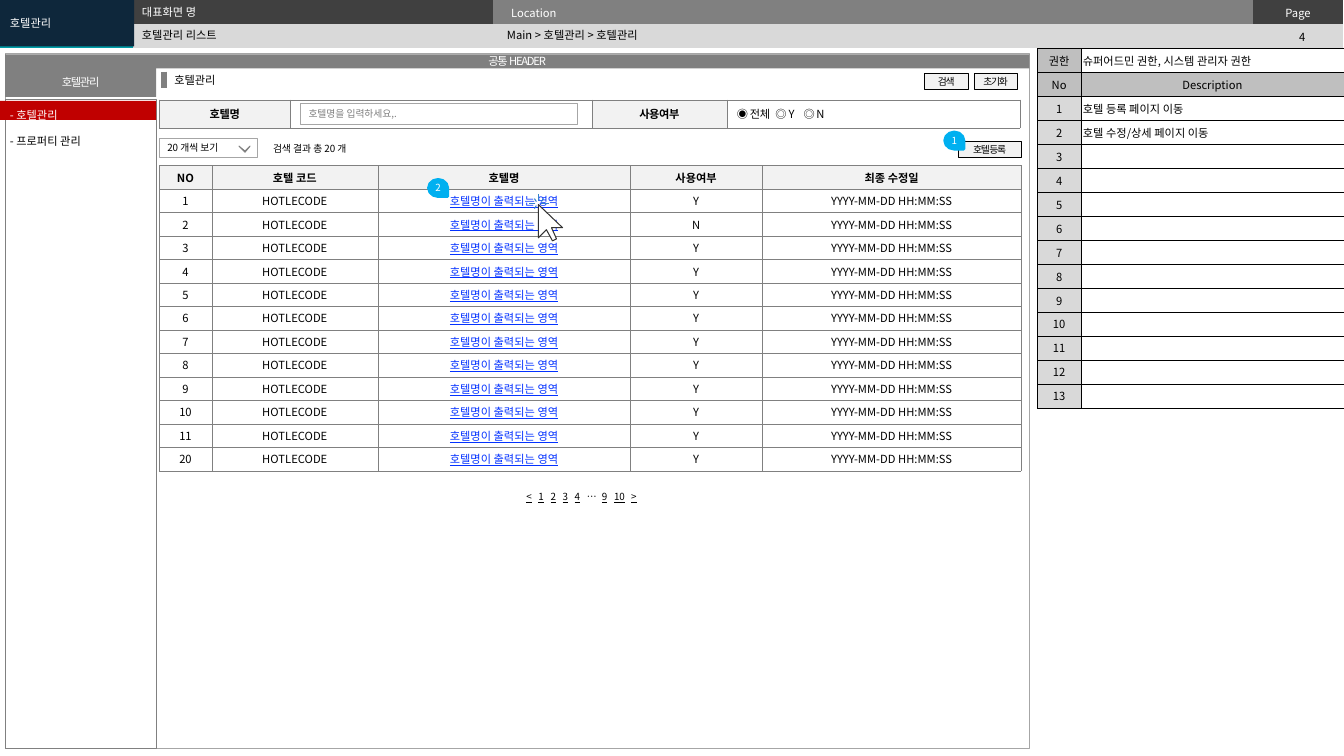
from lxml import etree
from pptx import Presentation
from pptx.dml.color import RGBColor
from pptx.enum.shapes import MSO_CONNECTOR, MSO_SHAPE
from pptx.enum.text import MSO_ANCHOR, PP_ALIGN
from pptx.oxml.ns import qn
from pptx.util import Inches, Pt

FONT = "Noto Sans CJK KR"
WHITE = RGBColor(0xFF, 0xFF, 0xFF)
BLACK = RGBColor(0x00, 0x00, 0x00)
CHARCOAL = RGBColor(0x40, 0x40, 0x40)
GRAY = RGBColor(0x80, 0x80, 0x80)
LINE_GRAY = RGBColor(0xA6, 0xA6, 0xA6)
HEAD_GRAY = RGBColor(0xBF, 0xBF, 0xBF)
LIGHT_GRAY = RGBColor(0xD9, 0xD9, 0xD9)
PALE_GRAY = RGBColor(0xF2, 0xF2, 0xF2)
ARROW_GRAY = RGBColor(0x5F, 0x5F, 0x5F)
POINTER_GRAY = RGBColor(0x33, 0x33, 0x33)
NAVY = RGBColor(0x0E, 0x27, 0x3B)
TEAL = RGBColor(0x00, 0x9C, 0xA6)
RED = RGBColor(0xC0, 0x00, 0x00)
SKY = RGBColor(0x00, 0xB0, 0xF0)
SPARK_BLUE = RGBColor(0x34, 0x83, 0xCB)
LINK_BLUE = RGBColor(0x04, 0x32, 0xFF)
LEFT, CENTER = PP_ALIGN.LEFT, PP_ALIGN.CENTER


def style_span(span, size=8, color=BLACK, bold=False, underline=False, spacing=0):
    font = span.font
    font.size, font.bold, font.underline = Pt(size), bold, underline
    font.color.rgb = color
    font.name = FONT
    properties = span._r.get_or_add_rPr()
    etree.SubElement(properties, qn("a:ea"), typeface=FONT)
    if spacing:
        properties.set("spc", str(int(spacing * 100)))


def add_tab_stops(para, stops):
    tabs = etree.SubElement(para._p.get_or_add_pPr(), qn("a:tabLst"))
    for stop in stops:
        etree.SubElement(tabs, qn("a:tab"), pos=str(Inches(stop)), algn="l")


def fill_frame(frame, text, align=LEFT, inset=0.1, **style):
    frame.word_wrap = True
    frame.vertical_anchor = MSO_ANCHOR.MIDDLE
    frame.margin_left = frame.margin_right = Inches(inset)
    frame.margin_top = frame.margin_bottom = 0
    frame.text = text
    for para in frame.paragraphs:
        para.alignment = align
        for span in para.runs:
            style_span(span, **style)


def add_label(page, left, top, width, height, text, **style):
    box = page.shapes.add_textbox(*map(Inches, (left, top, width, height)))
    fill_frame(box.text_frame, text, **style)
    return box


def paint(shape, fill, line, weight):
    shape.shadow.inherit = False
    if fill is None:
        shape.fill.background()
    else:
        shape.fill.solid()
        shape.fill.fore_color.rgb = fill
    if line is None:
        shape.line.fill.background()
    else:
        shape.line.color.rgb = line
        shape.line.width = Pt(weight)


def add_box(page, left, top, width, height, fill=None, line=None, weight=0.25,
            text="", kind=MSO_SHAPE.RECTANGLE, **style):
    box = page.shapes.add_shape(kind, *map(Inches, (left, top, width, height)))
    paint(box, fill, line, weight)
    if text:
        fill_frame(box.text_frame, text, **style)
    return box


def add_button(page, left, top, width, text):
    add_box(page, left, top, width, 0.16, PALE_GRAY, BLACK, text=text,
            align=CENTER, inset=0, size=7, spacing=-0.9)


def add_marker(page, left, top, number):
    """Numbered drop whose tip points to the lower right."""
    drop = add_box(page, left, top, 0.17, 0.19, SKY, SKY, 2, number, MSO_SHAPE.TEAR,
                   align=CENTER, inset=0, size=7, color=WHITE)
    drop.rotation = 90
    drop.text_frame._txBody.bodyPr.set("vert", "vert270")


def add_outline(page, paths, fill, line, closed=True):
    """Draw one freeform from lists of points in inches."""
    builder = page.shapes.build_freeform(*map(Inches, paths[0][0]))
    for number, path in enumerate(paths):
        points = [(Inches(x), Inches(y)) for x, y in path]
        if number:
            builder.move_to(*points[0])
        builder.add_line_segments(points[1:], close=closed)
    paint(builder.convert_to_shape(), fill, line, 0.75)


def set_borders(cell, color, weight):
    properties = cell._tc.get_or_add_tcPr()
    for position, side in enumerate(("a:lnL", "a:lnR", "a:lnT", "a:lnB")):
        edge = etree.Element(qn(side), w=str(Pt(weight)))
        if color is None:
            etree.SubElement(edge, qn("a:noFill"))
        else:
            solid = etree.SubElement(edge, qn("a:solidFill"))
            etree.SubElement(solid, qn("a:srgbClr"), val=str(color))
        properties.insert(position, edge)


def add_grid(page, left, top, widths, height, rows, border=None, weight=0.25):
    """Build a table from rows of (text, fill, style) cells."""
    frame = page.shapes.add_table(len(rows), len(widths), Inches(left), Inches(top),
                                  Inches(sum(widths)), Inches(height))
    table = frame.table
    table.first_row = table.horz_banding = False
    for column, width in zip(table.columns, widths):
        column.width = Inches(width)
    for row_number, row in enumerate(rows):
        table.rows[row_number].height = Inches(height / len(rows))
        for column_number, (text, fill, style) in enumerate(row):
            cell = table.cell(row_number, column_number)
            fill_frame(cell.text_frame, text, **style)
            cell.vertical_anchor = MSO_ANCHOR.MIDDLE
            cell.margin_top = cell.margin_bottom = Inches(0.03)
            cell.margin_left = cell.margin_right = Inches(style.get("inset", 0.1))
            if not text:
                etree.SubElement(cell.text_frame.paragraphs[0]._p, qn("a:endParaRPr"), sz="800")
            if fill is None:
                cell.fill.background()
            else:
                cell.fill.solid()
                cell.fill.fore_color.rgb = fill
            set_borders(cell, border, weight)
    return table


def add_title_bar(page):
    white = {"color": WHITE, "inset": 0.18}
    table = add_grid(page, 0, 0, [1.32, 3.57, 7.54, 0.89], 0.48, [
        [("", TEAL, {}), ("", CHARCOAL, {}), ("Location", GRAY, white),
         ("Page", CHARCOAL, white | {"align": CENTER})],
        [("", TEAL, {})] + [("", LIGHT_GRAY, {})] * 3])
    table.cell(0, 0).merge(table.cell(1, 0))
    add_label(page, 12.48, 0.25, 0.87, 0.24, "4", align=CENTER)
    add_label(page, 1.31, 0.24, 3.63, 0.22, "호텔관리 리스트")
    add_label(page, 4.93, 0.23, 7.38, 0.24, "Main > 호텔관리 > 호텔관리")
    add_label(page, 1.31, 0.01, 3.62, 0.22, "대표화면 명", color=WHITE)
    add_box(page, 0, 0, 1.33, 0.46, NAVY, text="호텔관리", color=WHITE)


def add_screen_frame(page):
    heading = {"align": CENTER, "inset": 0.04, "color": WHITE, "spacing": -0.9}
    add_box(page, 0.05, 0.53, 10.16, 6.89, line=LINE_GRAY)
    add_box(page, 0.05, 0.98, 1.5, 6.44, line=GRAY)
    add_box(page, 0.05, 0.54, 10.16, 0.14, GRAY, text="공통 HEADER", **heading)
    add_box(page, 0.05, 0.67, 1.5, 0.29, GRAY, text="호텔관리", **heading)


def add_side_menu(page):
    add_box(page, 0, 1, 1.55, 0.19, RED)
    menu = add_label(page, 0, 0.94, 1.44, 0.54, "- 호텔관리\n- 프로퍼티 관리").text_frame
    menu.vertical_anchor = MSO_ANCHOR.TOP
    for para in menu.paragraphs:
        para.line_spacing = Pt(19)
    menu.paragraphs[0].runs[0].font.color.rgb = WHITE


def add_descriptions(page):
    middle, plain = {"align": CENTER, "inset": 0.02}, {"inset": 0.02}
    notes = ["호텔 등록 페이지 이동", "호텔 수정/상세 페이지 이동"] + [""] * 11
    rows = [[("권한", HEAD_GRAY, middle), ("슈퍼어드민 권한, 시스템 관리자 권한", None, plain)],
            [("No", HEAD_GRAY, middle), ("Description", HEAD_GRAY, middle)]]
    rows += [[(str(number), LIGHT_GRAY, middle), (note, None, plain)]
             for number, note in enumerate(notes, 1)]
    add_grid(page, 10.29, 0.48, [0.43, 2.61], 3.57, rows, BLACK, 0.5)


def add_search_form(page):
    add_label(page, 1.63, 0.67, 2.41, 0.24, "호텔관리")
    bar = page.shapes.add_connector(MSO_CONNECTOR.STRAIGHT, Inches(1.63), Inches(0.71),
                                    Inches(1.63), Inches(0.87))
    bar.line.color.rgb, bar.line.width = GRAY, Pt(4.5)
    etree.SubElement(bar._element.spPr, qn("a:effectLst"))
    head = {"align": CENTER, "bold": True, "spacing": -0.3}
    table = add_grid(page, 1.58, 0.99, [1.3, 2.99, 1.34, 2.91], 0.28, [
        [("호텔명", PALE_GRAY, head), ("", WHITE, {}), ("사용여부", PALE_GRAY, head),
         ("◉ 전체\t◎ Y\t◎ N", WHITE, {"spacing": -0.3})]], GRAY)
    add_tab_stops(table.cell(0, 3).text_frame.paragraphs[0], [0.38, 0.66])
    add_box(page, 2.98, 1.03, 2.75, 0.2, WHITE, LINE_GRAY, 0.5, "호텔명을 입력하세요,.",
            inset=0.08, size=7, color=GRAY)
    add_button(page, 9.66, 0.73, 0.43, "초기화")
    add_button(page, 9.17, 0.73, 0.43, "검색")


def add_list_tools(page):
    add_button(page, 9.5, 1.4, 0.63, "호텔 등록")
    add_marker(page, 9.38, 1.3, "1")
    add_label(page, 2.61, 1.36, 0.99, 0.22, "검색 결과 총 20 개", size=7)
    add_box(page, 1.58, 1.37, 0.97, 0.19, WHITE, LINE_GRAY, 0.5, "20 개씩 보기",
            inset=0.08, size=7)
    add_outline(page, [[(2.48, 1.45), (2.43, 1.5), (2.37, 1.45), (2.43, 1.51)]],
                ARROW_GRAY, GRAY)


def add_hotel_list(page):
    middle = {"align": CENTER}
    link = middle | {"color": LINK_BLUE, "underline": True}
    titles = ["NO", "호텔 코드", "호텔명", "사용여부", "최종 수정일"]
    rows = [[(title, PALE_GRAY, middle | {"bold": True}) for title in titles]]
    for number in [*range(1, 12), 20]:
        values = [str(number), "HOTLECODE", "호텔명이 출력되는 영역",
                  "N" if number == 2 else "Y", "YYYY-MM-DD HH:MM:SS"]
        rows.append([(value, WHITE, link if column == 2 else middle)
                     for column, value in enumerate(values)])
    add_grid(page, 1.58, 1.64, [0.52, 1.65, 2.5, 1.31, 2.57], 3.03, rows, GRAY)
    add_marker(page, 4.26, 1.77, "2")


def add_pointer(page):
    add_outline(page, [[(5.52, 2.37), (5.47, 2.26), (5.58, 2.26), (5.34, 2.03),
                        (5.34, 2.36), (5.42, 2.28), (5.48, 2.39)]], WHITE, POINTER_GRAY)
    add_outline(page, [[(5.32, 2.04), (5.3, 2.07)], [(5.32, 2), (5.3, 1.97)],
                       [(5.37, 2), (5.39, 1.97)], [(5.31, 2.02), (5.25, 2.02)],
                       [(5.34, 1.99), (5.34, 1.92)], [(5.37, 2.02), (5.44, 2.02)]],
                None, SPARK_BLUE, closed=False)


def add_page_links(page):
    box = add_label(page, 5.14, 4.83, 1.45, 0.2, "", inset=0.08)
    para = box.text_frame.paragraphs[0]
    add_tab_stops(para, [0.12, 0.24, 0.36, 0.48, 0.6, 0.75, 0.87, 1.04])
    for number, mark in enumerate(["<", "1", "2", "3", "4", "…", "9", "10", ">"]):
        for text in (["\t"] if number else []) + [mark]:
            span = para.add_run()
            span.text = text
            style_span(span, size=7, underline=text not in ("\t", "…"))


def main():
    deck = Presentation()
    deck.slide_width, deck.slide_height = Inches(13.33), Inches(7.5)
    page = deck.slides.add_slide(deck.slide_layouts[6])
    for add_part in (add_title_bar, add_screen_frame, add_descriptions, add_search_form,
                     add_hotel_list, add_list_tools, add_pointer, add_page_links,
                     add_side_menu):
        add_part(page)
    deck.save("out.pptx")


if __name__ == "__main__":
    main()
